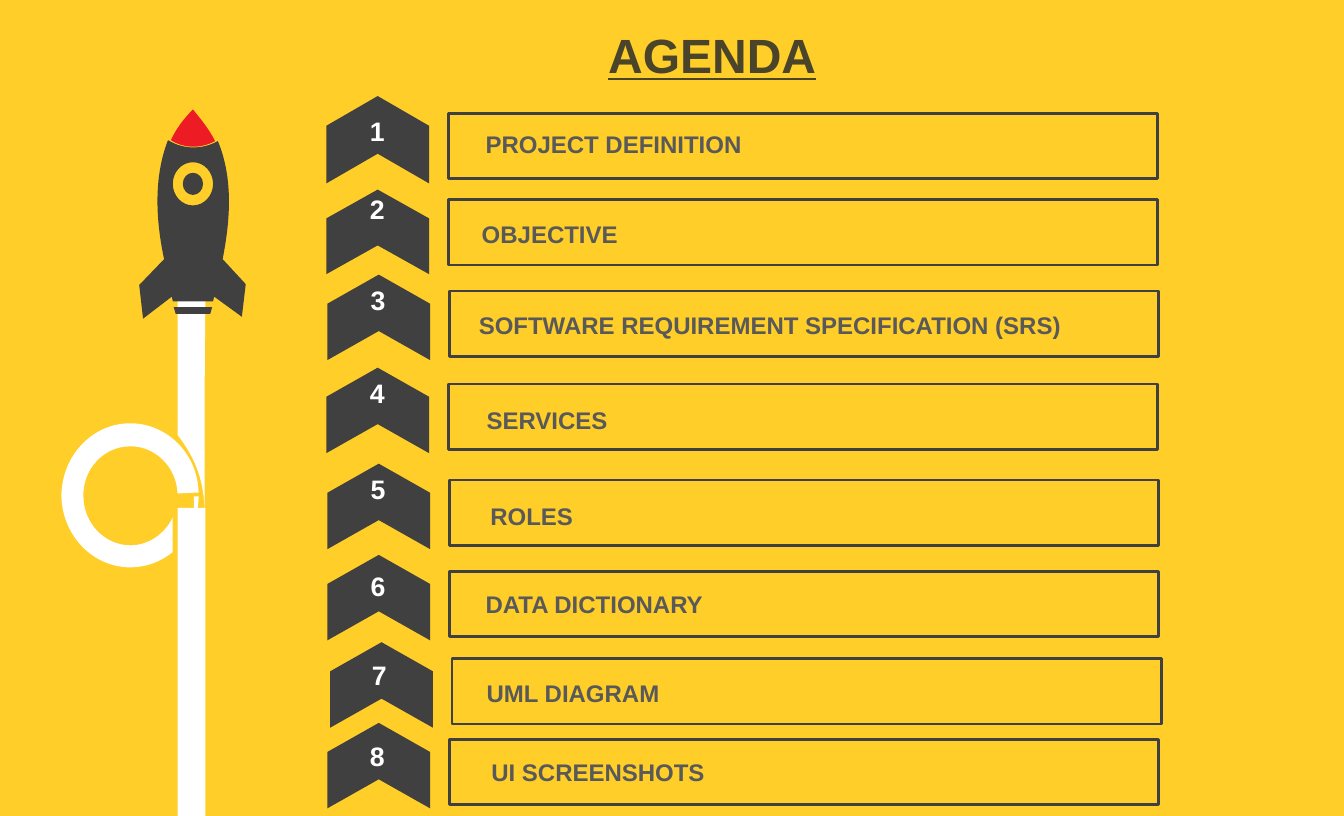
import pptx
import pptx.dml.color
import pptx.enum.shapes
import pptx.enum.text
import pptx.oxml.ns
import pptx.util
import lxml.etree
from dataclasses import dataclass

Pt = pptx.util.Pt
qn = pptx.oxml.ns.qn
Shape = pptx.enum.shapes.MSO_SHAPE
Anchor = pptx.enum.text.MSO_ANCHOR
Align = pptx.enum.text.PP_ALIGN
AutoSize = pptx.enum.text.MSO_AUTO_SIZE

YELLOW, CHARCOAL, WHITE, RED = "FFCE29", "404040", "FFFFFF", "ED1C24"
LABEL_GREY, TITLE_BROWN = "595959", "4A452A"
FRAME_SIZE = (532.1, 49)
LABEL_SIZE = (489.6, 30.2)
NUMBER_SIZE = (53.3, 31)
BADGE_WIDTH = 77
BADGE_GAP = 52.9  # badge centre to the left edge of its frame


@dataclass
class AgendaItem:
    """Positions are (left, top) in points."""
    label: str
    frame: tuple[float, float]
    label_at: tuple[float, float]
    number_at: tuple[float, float]
    badge_drop: float = 19.8  # frame top to badge centre
    badge_length: float = 64.1
    tilt: float = 0.1
    anchor: Anchor = Anchor.TOP


@dataclass
class Contour:
    """Each segment is (x, y) for a line or six numbers for a Bezier curve."""
    start: tuple[float, float]
    segments: list[tuple[float, ...]]


ITEMS = [
    AgendaItem("PROJECT DEFINITION", (336.2, 85), (355.7, 92.2), (256.3, 82.8),
               badge_length=65.5, tilt=0, anchor=Anchor.BOTTOM),
    AgendaItem("OBJECTIVE", (336.2, 149.8), (352.8, 159.8), (256.3, 141.1),
               badge_drop=24.1, badge_length=63.4),
    AgendaItem("SOFTWARE REQUIREMENT SPECIFICATION (SRS)", (337, 218.2), (350.6, 228.2), (257, 209.5)),
    AgendaItem("SERVICES", (336.2, 288), (356.4, 299.5), (256.3, 279.4)),
    AgendaItem("ROLES", (337, 360), (359.3, 371.5), (257, 351.4)),
    AgendaItem("DATA DICTIONARY", (337, 428.4), (355.7, 437.8), (257, 424.1)),
    AgendaItem("UML DIAGRAM", (339.1, 493.9), (356.4, 504), (257.8, 490.3)),
    AgendaItem("UI SCREENSHOTS", (337, 554.4), (360, 563.4), (256.3, 551.2)),
]


def ellipse(cx: float, cy: float, rx: float, ry: float) -> Contour:
    kx, ky = 0.55 * rx, 0.55 * ry
    return Contour((cx, cy - ry), [
        (cx + kx, cy - ry, cx + rx, cy - ky, cx + rx, cy),
        (cx + rx, cy + ky, cx + kx, cy + ry, cx, cy + ry),
        (cx - kx, cy + ry, cx - rx, cy + ky, cx - rx, cy),
        (cx - rx, cy - ky, cx - kx, cy - ry, cx, cy - ry)])


SMOKE_LOOP = [
    Contour((145.4, 372.2), [(149, 372.2), (149, 379.4, 147.6, 385.9, 145.4, 391.7)]),
    Contour((96.5, 317.5), [
        (124.6, 316.8, 148.3, 339.8, 149, 369.4), (133.2, 370.1),
        (132.5, 349.9, 115.9, 334.1, 97.2, 334.8),
        (77.8, 334.8, 61.9, 352.1, 62.6, 372.2),
        (62.6, 392.4, 78.5, 409, 97.9, 409),
        (111.6, 409, 123.8, 400.3, 129.6, 388.1), (129.6, 414),
        (121, 421.2, 109.4, 425.5, 97.9, 425.5),
        (69.8, 425.5, 46.8, 401.8, 46.1, 372.2),
        (46.1, 342.7, 68.4, 318.2, 96.5, 317.5)]),
]
UPPER_TRAIL = [Contour((133.2, 223.9), [
    (154.1, 223.9), (153.4, 276.5, 153.4, 329, 153.4, 381.6),
    (152.6, 357.1, 144.7, 341.3, 133.2, 326.2)])]
ROCKET = [
    Contour((130.3, 230.4), [
        (159.1, 230.4), (158.4, 231.8, 158.4, 234, 157.7, 235.4), (131.8, 235.4)]),
    ellipse(144.7, 137.9, 7.6, 8.3),
    ellipse(144.7, 137.9, 15.1, 16.2),
    Contour((126, 105.1), [
        (137.5, 112.3, 151.9, 112.3, 163.4, 105.8),
        (175.7, 135.4, 172.1, 167.8, 167, 194.4),
        (184.3, 213.1), (181.4, 237.6), (160.6, 222.5), (159.8, 226.1),
        (129.6, 226.1), (128.9, 222.5), (107.3, 239), (104.4, 213.8),
        (122.4, 195.1), (123.1, 194.4),
        (117.4, 167.8, 114.5, 134.6, 126, 105.1)]),
]
NOSE = [Contour((144.7, 82.1), [
    (151.2, 90, 157, 97.2, 161.3, 105.8),
    (150.5, 111.6, 138.2, 111.6, 128.2, 105.1),
    (131.8, 97.2, 137.5, 89.3, 144.7, 82.1)])]


def color(value: str) -> pptx.dml.color.RGBColor:
    return pptx.dml.color.RGBColor.from_string(value)


def paint(shape, fill: str | None = None, line: str | None = None) -> None:
    shape.shadow.inherit = False
    if fill:
        shape.fill.solid()
        shape.fill.fore_color.rgb = color(fill)
    else:
        shape.fill.background()
    if line:
        shape.line.color.rgb = color(line)
        shape.line.width = Pt(2)
    else:
        shape.line.fill.background()


def segment_points(segment: tuple[float, ...]) -> list[tuple[int, int]]:
    return [(Pt(x), Pt(y)) for x, y in zip(segment[::2], segment[1::2])]


def draw_outline(shapes, contours: list[Contour], fill: str) -> None:
    """Lay every point as a line, then join each curve's three points."""
    segments = [segment for contour in contours for segment in contour.segments]
    builder = shapes.build_freeform(*segment_points(contours[0].start)[0])
    for index, contour in enumerate(contours):
        if index:
            builder.move_to(*segment_points(contour.start)[0])
        builder.add_line_segments(
            [point for segment in contour.segments for point in segment_points(segment)])
    outline = builder.convert_to_shape()
    paint(outline, fill)

    steps = iter(list(outline._element.iter(qn("a:lnTo"))))
    for segment in segments:
        step = next(steps)
        if len(segment) == 6:
            curve = lxml.etree.Element(qn("a:cubicBezTo"))
            step.addprevious(curve)
            for part in (step, next(steps), next(steps)):
                curve.append(part[0])
                part.getparent().remove(part)


def add_box(shapes, kind: Shape, at: tuple[float, float], size: tuple[float, float],
            fill: str | None = None, line: str | None = None):
    box = shapes.add_shape(kind, *map(Pt, at + size))
    paint(box, fill, line)
    return box


def write(holder, text: str, size: float, ink: str, align: Align, anchor: Anchor,
          underline: bool = False) -> None:
    frame = holder.text_frame
    frame.text = text
    frame.word_wrap = True
    frame.auto_size = AutoSize.NONE
    frame.vertical_anchor = anchor
    frame.paragraphs[0].alignment = align
    font = frame.paragraphs[0].runs[0].font
    font.name, font.size, font.bold, font.underline = "Arial", Pt(size), True, underline
    font.color.rgb = color(ink)


def draw_item(shapes, number: int, item: AgendaItem) -> None:
    left, top = item.frame
    add_box(shapes, Shape.RECTANGLE, item.frame, FRAME_SIZE, line=CHARCOAL)

    label = add_box(shapes, Shape.ROUND_2_SAME_RECTANGLE, item.label_at, LABEL_SIZE)
    label.rotation = item.tilt
    write(label, item.label, 18, LABEL_GREY, Align.LEFT, item.anchor)

    badge_at = (left - BADGE_GAP - item.badge_length / 2,
                top + item.badge_drop - BADGE_WIDTH / 2)
    badge = add_box(shapes, Shape.CHEVRON, badge_at, (item.badge_length, BADGE_WIDTH), CHARCOAL)
    badge.adjustments[0] = 0.34
    badge.rotation = 270

    numeral = shapes.add_textbox(*map(Pt, item.number_at + NUMBER_SIZE))
    write(numeral, str(number), 20, WHITE, Align.CENTER, Anchor.TOP)


def main() -> None:
    deck = pptx.Presentation()
    deck.slide_width, deck.slide_height = Pt(1008), Pt(612)
    slide = deck.slides.add_slide(deck.slide_layouts[5])
    slide.background.fill.solid()
    slide.background.fill.fore_color.rgb = color(YELLOW)
    shapes = slide.shapes

    title = shapes.title
    title.left, title.top, title.width, title.height = map(Pt, (30.2, -2.2, 1008, 68.4))
    write(title, "AGENDA", 36, TITLE_BROWN, Align.CENTER, Anchor.BOTTOM, underline=True)

    draw_outline(shapes, SMOKE_LOOP, WHITE)
    draw_outline(shapes, UPPER_TRAIL, WHITE)
    draw_outline(shapes, ROCKET, CHARCOAL)
    add_box(shapes, Shape.RECTANGLE, (133.2, 380.9), (20.9, 231.1), WHITE)
    draw_outline(shapes, NOSE, RED)
    for number, item in enumerate(ITEMS, start=1):
        draw_item(shapes, number, item)
    deck.save("out.pptx")


if __name__ == "__main__":
    main()
